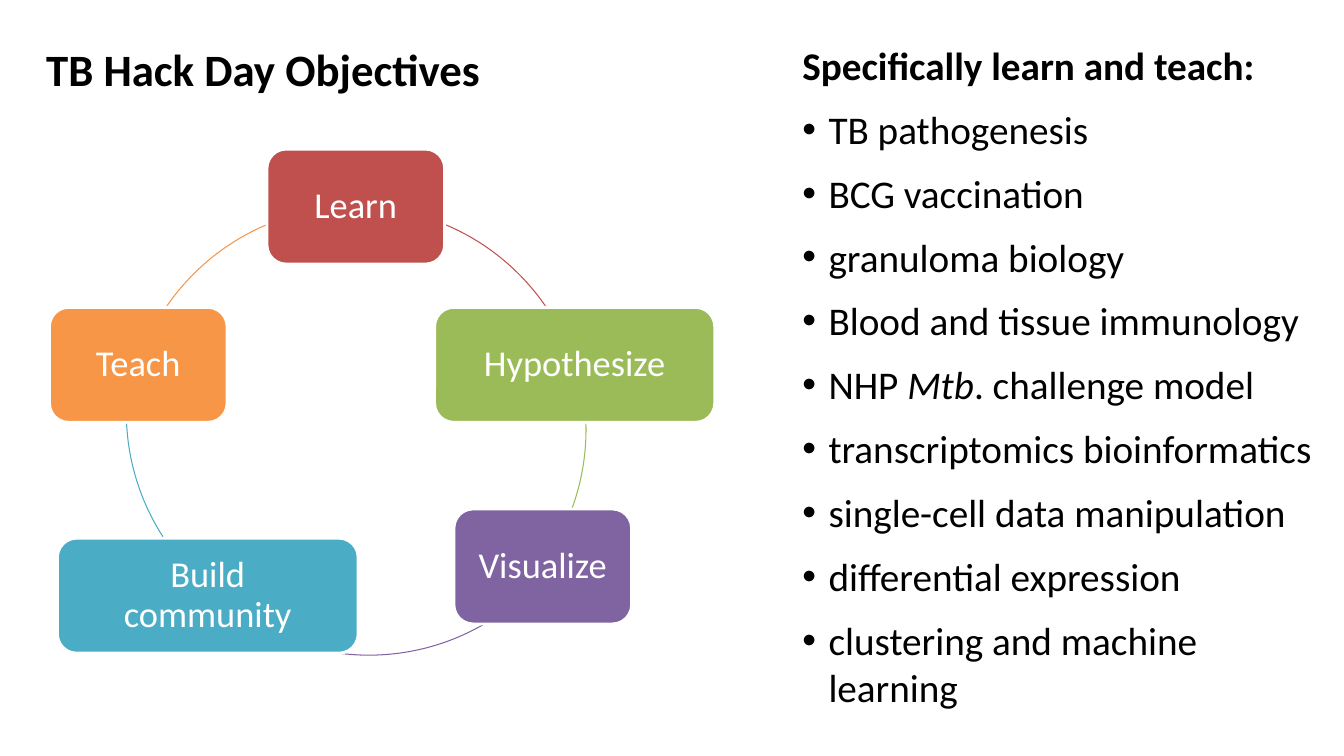
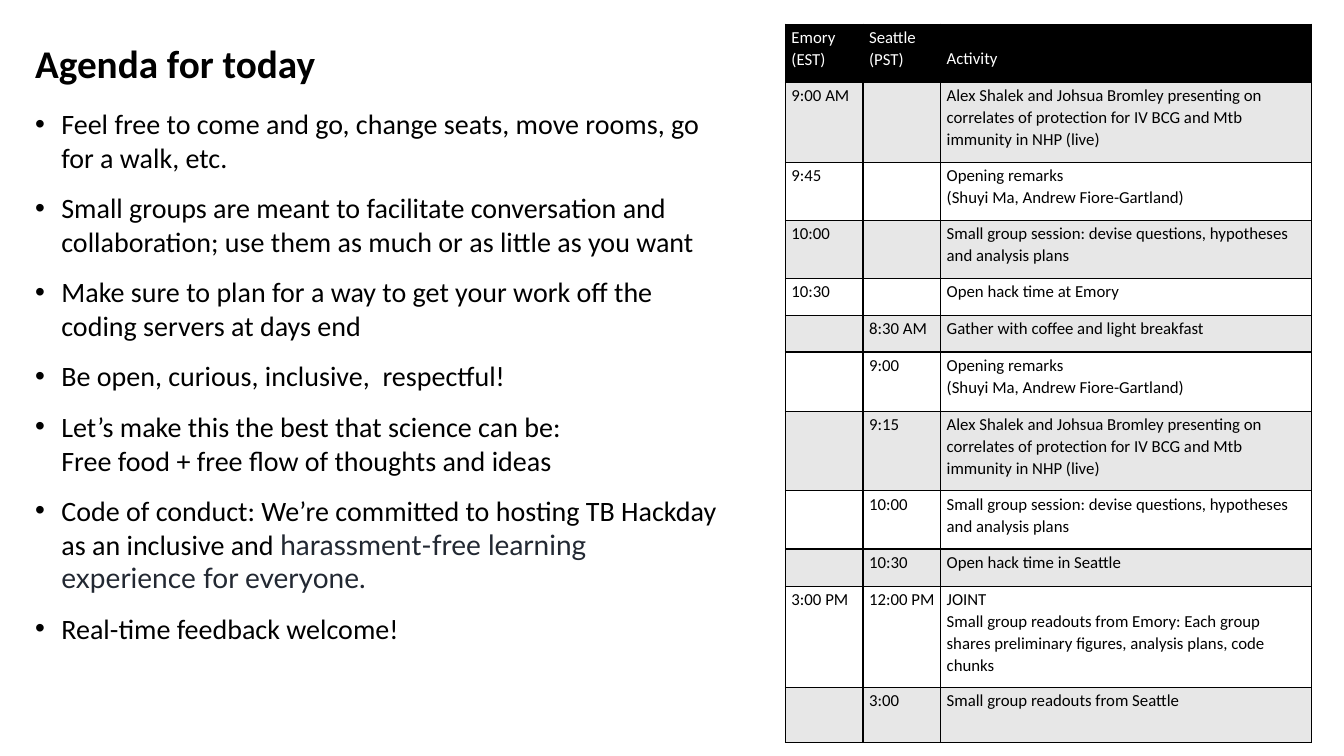
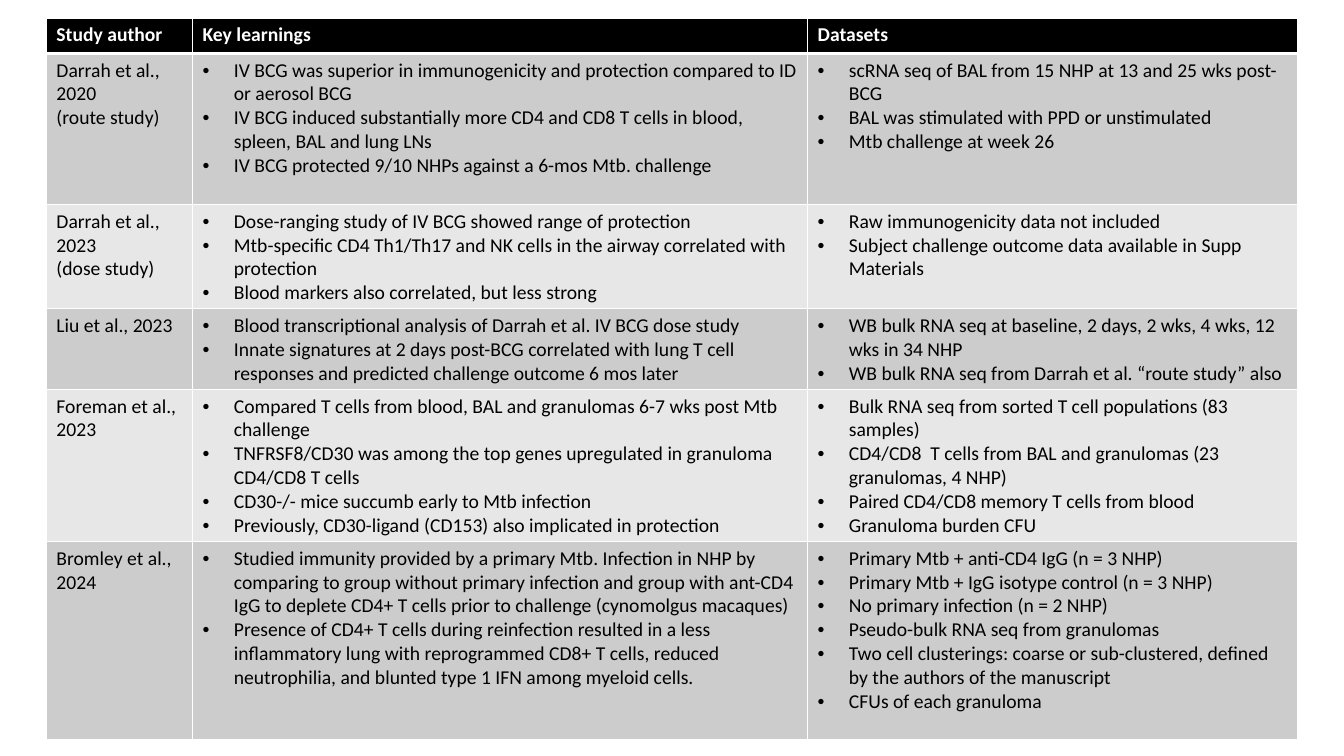
from lxml import etree
from pptx import Presentation
from pptx import util as u
from pptx.dml import color
from pptx.enum import shapes, text
from pptx.oxml import ns

W, H = 13.33, 7.5
FONT = "Calibri"
INK = {
    "black": "000000", "white": "FFFFFF", "pale": "E7E7E7", "grey": "CCCCCC",
    "slate": "222832", "red": "C0504D", "green": "9BBB59", "plum": "8064A2",
    "teal": "4BACC6", "peach": "F79646",
}

GOALS = [
    "Specifically learn and teach:", "TB pathogenesis", "BCG vaccination",
    "granuloma biology", "Blood and tissue immunology",
    ("NHP ", "Mtb", ". challenge model"), "transcriptomics bioinformatics",
    "single-cell data manipulation", "differential expression",
    "clustering and machine learning",
]
NODES = [
    ("Learn", "red", 32.7, 0, 26.7),
    ("Hypothesize", "green", 57.9, 31.4, 42.1),
    ("Visualize", "plum", 60.8, 71.4, 26.7),
    ("Build\ncommunity", "teal", 1.2, 77.2, 45.2),
    ("Teach", "peach", 0, 31.4, 26.7),
]
ARCS = [
    ("red", 46.1, 57, 293, 325.5),
    ("green", 46.1, 55.6, 358.5, 20),
    ("plum", 48, 54.8, 60.3, 97.3),
    ("teal", 46.1, 52.2, 147.2, 177.2),
    ("peach", 46.1, 57, 214.5, 247),
]
RULES = [
    "Feel free to come and go, change seats, move rooms, go for a walk, etc.",
    "Small groups are meant to facilitate conversation and collaboration; "
    "use them as much or as little as you want",
    "Make sure to plan for a way to get your work off the coding servers at days end",
    "Be open, curious, inclusive,  respectful!",
    "Let’s make this the best that science can be:\n"
    "Free food + free flow of thoughts and ideas",
    ("Code of conduct: We’re committed to hosting TB Hackday as an inclusive and ",
     "harassment-free learning experience for everyone."),
    "Real-time feedback welcome!",
]
TALK = ("Alex Shalek and Johsua Bromley presenting on correlates of protection "
        "for IV BCG and Mtb immunity in NHP (live)")
OPEN = "Opening remarks\n(Shuyi Ma, Andrew Fiore-Gartland)"
GROUP = "Small group session: devise questions, hypotheses and analysis plans"
TIMES = [
    ("Emory (EST)", "Seattle (PST)", "Activity"),
    ("9:00 AM", "", TALK),
    ("9:45", "", OPEN),
    ("10:00", "", GROUP),
    ("10:30", "", "Open hack time at Emory"),
    ("", "8:30 AM", "Gather with coffee and light breakfast"),
    ("", "9:00", OPEN),
    ("", "9:15", TALK),
    ("", "10:00", GROUP),
    ("", "10:30", "Open hack time in Seattle"),
    ("3:00 PM", "12:00 PM",
     "JOINT\nSmall group readouts from Emory: Each group shares preliminary "
     "figures, analysis plans, code chunks"),
    ("", "3:00", "Small group readouts from Seattle"),
]
STUDIES = [
    ("Study author", "Key learnings", "Datasets"),
    ("Darrah et al., 2020\n(route study)",
     ["IV BCG was superior in immunogenicity and protection compared to ID or aerosol BCG",
      "IV BCG induced substantially more CD4 and CD8 T cells in blood, spleen, "
      "BAL and lung LNs",
      "IV BCG protected 9/10 NHPs against a 6-mos Mtb. challenge"],
     ["scRNA seq of BAL from 15 NHP at 13 and 25 wks post-BCG",
      "BAL was stimulated with PPD or unstimulated",
      "Mtb challenge at week 26"]),
    ("Darrah et al., 2023\n(dose study)",
     ["Dose-ranging study of IV BCG showed range of protection",
      "Mtb-specific CD4 Th1/Th17 and NK cells in the airway correlated with protection",
      "Blood markers also correlated, but less strong"],
     ["Raw immunogenicity data not included",
      "Subject challenge outcome data available in Supp Materials"]),
    ("Liu et al., 2023",
     ["Blood transcriptional analysis of Darrah et al. IV BCG dose study",
      "Innate signatures at 2 days post-BCG correlated with lung T cell responses "
      "and predicted challenge outcome 6 mos later"],
     ["WB bulk RNA seq at baseline, 2 days, 2 wks, 4 wks, 12 wks in 34 NHP",
      "WB bulk RNA seq from Darrah et al. “route study” also"]),
    ("Foreman et al., 2023",
     ["Compared T cells from blood, BAL and granulomas 6-7 wks post Mtb challenge",
      "TNFRSF8/CD30 was among the top genes upregulated in granuloma CD4/CD8 T cells",
      "CD30-/- mice succumb early to Mtb infection",
      "Previously, CD30-ligand (CD153) also implicated in protection"],
     ["Bulk RNA seq from sorted T cell populations (83 samples)",
      "CD4/CD8  T cells from BAL and granulomas (23 granulomas, 4 NHP)",
      "Paired CD4/CD8 memory T cells from blood",
      "Granuloma burden CFU"]),
    ("Bromley et al., 2024",
     ["Studied immunity provided by a primary Mtb. Infection in NHP by comparing to "
      "group without primary infection and group with ant-CD4 IgG to deplete CD4+ "
      "T cells prior to challenge (cynomolgus macaques)",
      "Presence of CD4+ T cells during reinfection resulted in a less inflammatory "
      "lung with reprogrammed CD8+ T cells, reduced neutrophilia, and blunted "
      "type 1 IFN among myeloid cells."],
     ["Primary Mtb + anti-CD4 IgG (n = 3 NHP)",
      "Primary Mtb + IgG isotype control (n = 3 NHP)",
      "No primary infection (n = 2 NHP)",
      "Pseudo-bulk RNA seq from granulomas",
      "Two cell clusterings: coarse or sub-clustered, defined by the authors "
      "of the manuscript",
      "CFUs of each granuloma"]),
]
PLAN = dict(size=12, edge="black", rule=1, bands=("pale", "white"), bold=False,
            pad=(0.06, 0.02, 0.06, 0.13), lead=1.07, anchor=text.MSO_ANCHOR.BOTTOM)
PAPERS = dict(size=14, edge="white", rule=3, bands=("grey", "pale"), bold=True,
              pad=(0.1, 0.05, 0.1, 0.05), lead=1, anchor=text.MSO_ANCHOR.TOP)


def rgb(name):
    """Give the colour that has this name."""
    return color.RGBColor.from_string(INK[name])


def share(x, y, w, h):
    """Turn percentages of the slide into a box in inches."""
    return x * W / 100, y * H / 100, w * W / 100, h * H / 100


def emu(*sizes):
    """Turn inches into lengths."""
    return [u.Inches(size) for size in sizes]


def write(par, words, size, ink="black", bold=False):
    """Fill a paragraph with one or more runs in the common font."""
    first, *rest = [words] if isinstance(words, str) else words
    par.text = first
    for part in rest:
        par.add_run().text = part
    for run in par.runs:
        font = run.font
        font.name, font.size, font.bold = FONT, u.Pt(size), bold
        font.color.rgb = rgb(ink)
    for gap in par._p.findall(ns.qn("a:br")):
        etree.SubElement(gap, ns.qn("a:rPr"), sz=str(size * 100))
    if not par.runs:
        par._p.get_or_add_endParaRPr().set("sz", str(size * 100))


def dot(par, step):
    """Give a paragraph a hanging bullet."""
    props = par._p.get_or_add_pPr()
    props.set("marL", str(u.Inches(step)))
    props.set("indent", str(-u.Inches(step)))
    etree.SubElement(props, ns.qn("a:buFont"), typeface="Arial")
    etree.SubElement(props, ns.qn("a:buChar"), char="•")


def pars(frame, count):
    """Give the frame this many paragraphs."""
    return [frame.paragraphs[0]] + [frame.add_paragraph() for _ in range(count - 1)]


def panel(slide, box):
    """Add a wrapping text box and return its frame."""
    frame = slide.shapes.add_textbox(*emu(*box)).text_frame
    frame.word_wrap = True
    return frame


def title(slide, box, words, size):
    """Add a bold slide title."""
    write(panel(slide, box).paragraphs[0], words, size, bold=True)


def points(slide, box, items, size, head=False):
    """Add a spaced bullet list, with a bold first line if asked."""
    rows = pars(panel(slide, box), len(items))
    for num, (par, words) in enumerate(zip(rows, items)):
        top = head and num == 0
        if not top:
            dot(par, 0.26)
        par.space_before, par.space_after = u.Pt(6 if num else 0), u.Pt(6)
        write(par, words, size, bold=top)
    return rows


def cycle(slide, box):
    """Draw the ring of goals on a grid of 100 by 100 in the box."""
    left, top, wide, high = box
    col, row = wide / 100, high / 100
    ring = 69.1 * col
    for ink, x, y, start, end in ARCS:
        spot = emu(left + x * col - ring / 2, top + y * row - ring / 2, ring, ring)
        arc = slide.shapes.add_shape(shapes.MSO_SHAPE.ARC, *spot)
        arc.shadow.inherit = False
        arc.fill.background()
        arc.line.color.rgb, arc.line.width = rgb(ink), u.Pt(0.75)
        arc.adjustments[0], arc.adjustments[1] = start * 0.6, end * 0.6
    for words, ink, x, y, w in NODES:
        spot = emu(left + x * col, top + y * row, w * col, 22.8 * row)
        node = slide.shapes.add_shape(shapes.MSO_SHAPE.ROUNDED_RECTANGLE, *spot)
        node.shadow.inherit = False
        node.fill.solid()
        node.fill.fore_color.rgb = rgb(ink)
        node.line.color.rgb, node.line.width = rgb("white"), u.Pt(2)
        frame = node.text_frame
        frame.word_wrap, frame.vertical_anchor = True, text.MSO_ANCHOR.MIDDLE
        par = frame.paragraphs[0]
        par.alignment, par.line_spacing = text.PP_ALIGN.CENTER, 0.9
        write(par, words, 26, "white")


def border(cell, ink, sides):
    """Draw the cell's sides at the given widths in points."""
    props = cell._tc.get_or_add_tcPr()
    for side, width in zip("LRTB", sides):
        line = etree.SubElement(props, ns.qn("a:ln" + side), w=str(u.Pt(width)))
        fill = etree.SubElement(line, ns.qn("a:solidFill"))
        etree.SubElement(fill, ns.qn("a:srgbClr"), val=INK[ink])


def fill_in(cell, item, num, look):
    """Style one cell of row num and write its text or bullets."""
    head = num == 0
    border(cell, look["edge"], (1, 1, look["rule"] if num == 1 else 1,
                                look["rule"] if head else 1))
    cell.fill.solid()
    cell.fill.fore_color.rgb = rgb("black" if head else look["bands"][(num - 1) % 2])
    (cell.margin_left, cell.margin_top,
     cell.margin_right, cell.margin_bottom) = emu(*look["pad"])
    cell.vertical_anchor = look["anchor"] if head else text.MSO_ANCHOR.TOP
    items = item if isinstance(item, list) else [item]
    for par, words in zip(pars(cell.text_frame, len(items)), items):
        if isinstance(item, list):
            dot(par, 0.31)
        par.line_spacing = look["lead"]
        write(par, words, look["size"], "white" if head else "black",
              head and look["bold"])


def grid(slide, box, data, cols, rows, look):
    """Add a table whose columns and rows share the box by weight."""
    table = slide.shapes.add_table(len(rows), len(cols), *emu(*box)).table
    table.first_row = table.horz_banding = False
    for col, part in zip(table.columns, cols):
        col.width = u.Inches(box[2] * part / sum(cols))
    for num, (row, part) in enumerate(zip(table.rows, rows)):
        row.height = u.Inches(box[3] * part / sum(rows))
        for cell, item in zip(row.cells, data[num]):
            fill_in(cell, item, num, look)


def aims(slide):
    """Build the objectives slide."""
    title(slide, share(2.7, 4.8, 64.6, 8.5), "TB Hack Day Objectives", 32)
    rows = points(slide, share(58.96, 4.8, 40.06, 90.7), GOALS, 28, head=True)
    rows[5].runs[1].font.italic = True
    cycle(slide, share(3.68, 19.73, 49.5, 66.67))


def agenda(slide):
    """Build the agenda slide."""
    title(slide, share(1.88, 4.53, 64.6, 7.6), "Agenda for today", 28)
    grid(slide, share(58.44, 3.2, 39.16, 94.71), TIMES, (0.77, 0.77, 3.68),
         (58, 79, 58, 58, 36, 36, 59, 79, 58, 37, 101, 55), PLAN)
    rows = points(slide, share(1.88, 13.47, 52.59, 73.2), RULES, 20)
    font = rows[5].runs[1].font
    font.name, font.color.rgb = "Lato", rgb("slate")


def papers(slide):
    """Build the slide of studies."""
    grid(slide, share(3.45, 2.4, 93.1, 95.4), STUDIES, (1.45, 6.1, 4.86),
         (0.35, 1.5, 1.03, 0.8, 1.51, 1.97), PAPERS)


def main():
    """Build and save the deck."""
    deck = Presentation()
    deck.slide_width, deck.slide_height = emu(W, H)
    for build in (aims, agenda, papers):
        build(deck.slides.add_slide(deck.slide_layouts[6]))
    deck.save("out.pptx")


if __name__ == "__main__":
    main()
